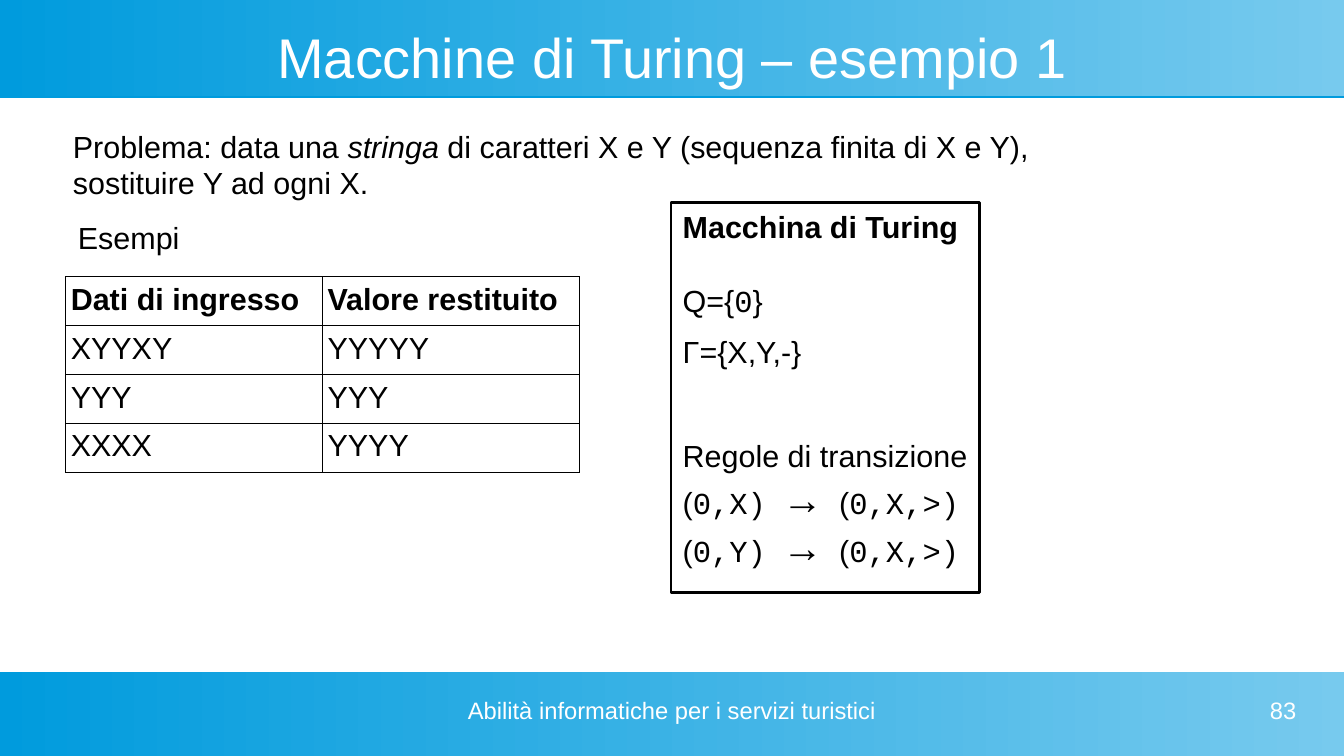
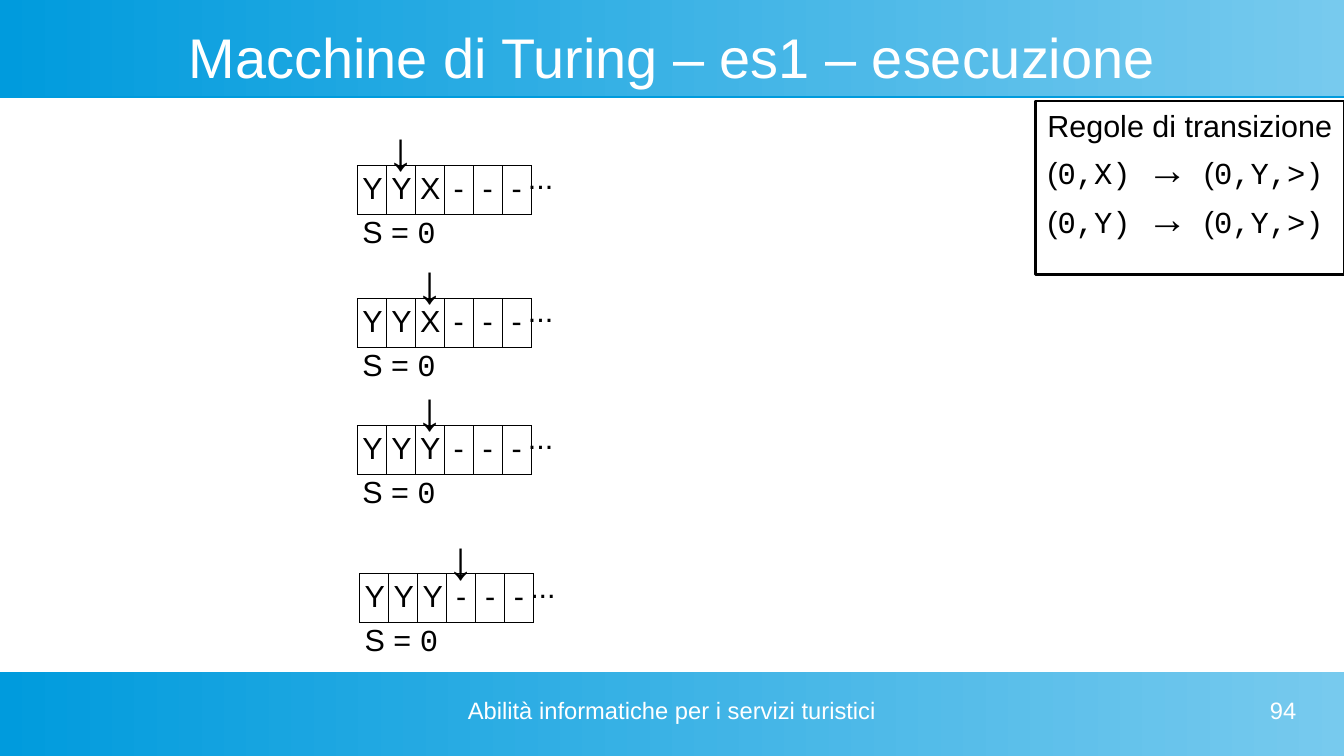
import pptx
import pptx.dml.color
import pptx.enum.shapes
import pptx.enum.text
import pptx.oxml
import pptx.oxml.ns
import pptx.util
from lxml import etree

Pt = pptx.util.Pt
ALIGN = pptx.enum.text.PP_ALIGN
TOP = pptx.enum.text.MSO_ANCHOR.TOP
MIDDLE = pptx.enum.text.MSO_ANCHOR.MIDDLE
RECTANGLE = pptx.enum.shapes.MSO_SHAPE.RECTANGLE

WIDTH, HEIGHT = 793.44, 446.4
DEEP, LIGHT, INK, WHITE = "009BDD", "77CAEE", "000000", "FFFFFF"
BODY = {"name": "Arial", "size": Pt(18), "bold": False, "italic": False}
MONO = {"name": "Courier New"}
STRONG = {"bold": True}
PADDING = (7.2, 3.6)
CELL_PADDING = (2.9, 3.6)
ROW_HEIGHT = 28.8
TAPE_CELL = 17.1


def colour(code):
    """Return the colour for a hex string."""
    return pptx.dml.color.RGBColor.from_string(code)


def apply(target, values):
    """Set each named attribute of the target."""
    for name, value in values.items():
        setattr(target, name, value)


def write(frame, paragraphs, padding=PADDING, anchor=TOP, wrap=True,
          align=ALIGN.LEFT, ink=INK, look=None):
    """Fill a text frame with paragraphs of (runs, space before)."""
    across, down = Pt(padding[0]), Pt(padding[1])
    apply(frame, {"margin_left": across, "margin_right": across, "margin_top": down,
                  "margin_bottom": down, "vertical_anchor": anchor, "word_wrap": wrap})
    for index, (runs, before) in enumerate(paragraphs):
        paragraph = frame.add_paragraph() if index else frame.paragraphs[0]
        apply(paragraph, {"alignment": align, "space_before": Pt(before)})
        for words, style in runs:
            run = paragraph.add_run()
            run.text = words
            apply(run.font, {**BODY, **(look or {}), **style})
            run.font.color.rgb = colour(ink)


def plain(words, before=0):
    """Return a paragraph of one unstyled run."""
    return [(words, {})], before


def add_text(slide, box, paragraphs, **options):
    """Place a text box."""
    area = slide.shapes.add_textbox(*map(Pt, box))
    write(area.text_frame, paragraphs, **options)


def add_bands(slide, master):
    """Draw the top and bottom bands and move them to the master."""
    for order, (top, height) in enumerate([(0, 56.9), (396.7, 49.7)]):
        band = slide.shapes.add_shape(RECTANGLE, *map(Pt, (0, top, WIDTH, height)))
        band.line.fill.background()
        band.fill.gradient()
        band.fill.gradient_angle = 0
        for stop, code in zip(band.fill.gradient_stops, (DEEP, LIGHT)):
            stop.color.rgb = colour(code)
        band.shadow.inherit = False
        effects = band.element.spPr.find(pptx.oxml.ns.qn("a:effectLst"))
        shadow = etree.SubElement(effects, pptx.oxml.ns.qn("a:outerShdw"),
                                  blurRad="0", dist=str(Pt(0.9)), dir="5400000")
        etree.SubElement(shadow, pptx.oxml.ns.qn("a:srgbClr"), val=DEEP)
        master.shapes.element.insert(2 + order, band.element)


def add_frame(slide, title, number):
    """Format the title and write the footer and page number."""
    heading = slide.shapes.title
    apply(heading, {"left": Pt(28.1), "top": Pt(14.4),
                    "width": Pt(737.3), "height": Pt(37.4)})
    write(heading.text_frame, [plain(title)], padding=(0, 0), anchor=MIDDLE,
          align=ALIGN.CENTER, ink=WHITE, look={"size": Pt(33)})
    footers = [((269.3, 411.1, 254.9, 28.1), ALIGN.CENTER,
                "Abilità informatiche per i servizi turistici"),
               ((581, 411.1, 184.3, 28.1), ALIGN.RIGHT, str(number))]
    for box, align, words in footers:
        add_text(slide, box, [plain(words)], padding=(0, 0), align=align,
                 ink=WHITE, look={"size": Pt(14)})


def add_grid(slide, left, top, column, rows, align=ALIGN.LEFT, header=False):
    """Place a ruled table with equal columns."""
    size = len(rows), len(rows[0])
    box = left, top, column * size[1], ROW_HEIGHT * size[0]
    grid = slide.shapes.add_table(*size, *map(Pt, box)).table
    apply(grid, {"first_row": False, "horz_banding": False})
    for part in grid.columns:
        part.width = Pt(column)
    for row_index, row in enumerate(rows):
        for column_index, words in enumerate(row):
            cell = grid.cell(row_index, column_index)
            add_borders(cell)
            cell.fill.background()
            write(cell.text_frame, [plain(words)], align=align,
                  look=STRONG if header and row_index == 0 else None)
            across, down = map(Pt, CELL_PADDING)
            apply(cell, {"margin_left": across, "margin_right": across,
                         "margin_top": down, "margin_bottom": down,
                         "vertical_anchor": TOP})


def add_borders(cell):
    """Rule the four sides of a cell."""
    properties = cell._tc.get_or_add_tcPr()
    for side in ("a:lnL", "a:lnR", "a:lnT", "a:lnB"):
        line = etree.SubElement(properties, pptx.oxml.ns.qn(side), w=str(Pt(0.57)))
        fill = etree.SubElement(line, pptx.oxml.ns.qn("a:solidFill"))
        etree.SubElement(fill, pptx.oxml.ns.qn("a:srgbClr"), val=INK)


def transition(read, written):
    """Return the paragraph for one transition rule."""
    return [("(", {}), (f"0,{read})", MONO), (" → ", {**MONO, "size": Pt(24)}),
            ("(", {}), (f"0,{written},>)", MONO)], 0


def add_machine(slide, box, paragraphs):
    """Place the outlined box that describes a machine."""
    machine = slide.shapes.add_shape(RECTANGLE, *map(Pt, box))
    machine.shadow.inherit = False
    machine.fill.background()
    machine.line.color.rgb = colour(INK)
    machine.line.width = Pt(1.42)
    write(machine.text_frame, paragraphs, wrap=False)


def add_tape(slide, left, top, symbols, head):
    """Place a tape with its head, state and continuation dots."""
    add_grid(slide, left, top, TAPE_CELL, [symbols], align=ALIGN.CENTER)
    middle = left + TAPE_CELL * (head + 0.5)
    add_text(slide, (middle - 18, top - 32.4, 36, 43.2), [plain("↓")],
             padding=(0, 3.6), align=ALIGN.CENTER, look={"size": Pt(32)})
    add_text(slide, (left, top + 24.5, 76, 31), [([("S = ", {}), ("0", MONO)], 0)],
             padding=CELL_PADDING)
    add_text(slide, (left + 93.6, top - 7.2, 36, 36), [plain("...")])


def build_example(slide):
    """Build the slide that states the problem and the machine."""
    add_frame(slide, "Macchine di Turing – esempio 1", 83)
    add_machine(slide, (396, 119.5, 182.2, 230.4), [
        ([("Macchina di Turing", STRONG)], 0),
        ([("Q={", {}), ("0", MONO), ("}", {})], 22),
        plain("Γ={X,Y,-}", 8.7),
        plain("Regole di transizione", 39.5),
        transition("X", "X"),
        transition("Y", "X")])
    add_text(slide, (36, 72, 584, 47.5), [
        ([("Problema: data una ", {}), ("stringa", {"italic": True}),
          (" di caratteri X e Y (sequenza finita di X e Y),", {})], 0),
        plain("sostituire Y ad ogni X.")])
    add_grid(slide, 38.9, 163.4, 151.6, [
        ("Dati di ingresso", "Valore restituito"), ("XYYXY", "YYYYY"),
        ("YYY", "YYY"), ("XXXX", "YYYY")], header=True)
    add_text(slide, (38.9, 126, 126, 36), [plain("Esempi")])


def build_execution(slide):
    """Build the slide that follows the tape step by step."""
    add_frame(slide, "Macchine di Turing – es1 – esecuzione", 94)
    add_machine(slide, (611.3, 59.8, 182.2, 102.2), [
        plain("Regole di transizione"), transition("X", "Y"), transition("Y", "Y")])
    steps = [(211, 97.8, "YYX---", 1), (211, 176.3, "YYX---", 2),
             (211, 251.3, "YYY---", 2), (212.4, 338.8, "YYY---", 3)]
    for step in steps:
        add_tape(slide, *step)


def main():
    """Build and save the presentation."""
    deck = pptx.Presentation()
    apply(deck, {"slide_width": Pt(WIDTH), "slide_height": Pt(HEIGHT)})
    for index, build in enumerate((build_example, build_execution)):
        slide = deck.slides.add_slide(deck.slide_layouts[5])
        if index == 0:
            add_bands(slide, deck.slide_master)
        build(slide)
    deck.save("out.pptx")


if __name__ == "__main__":
    main()
